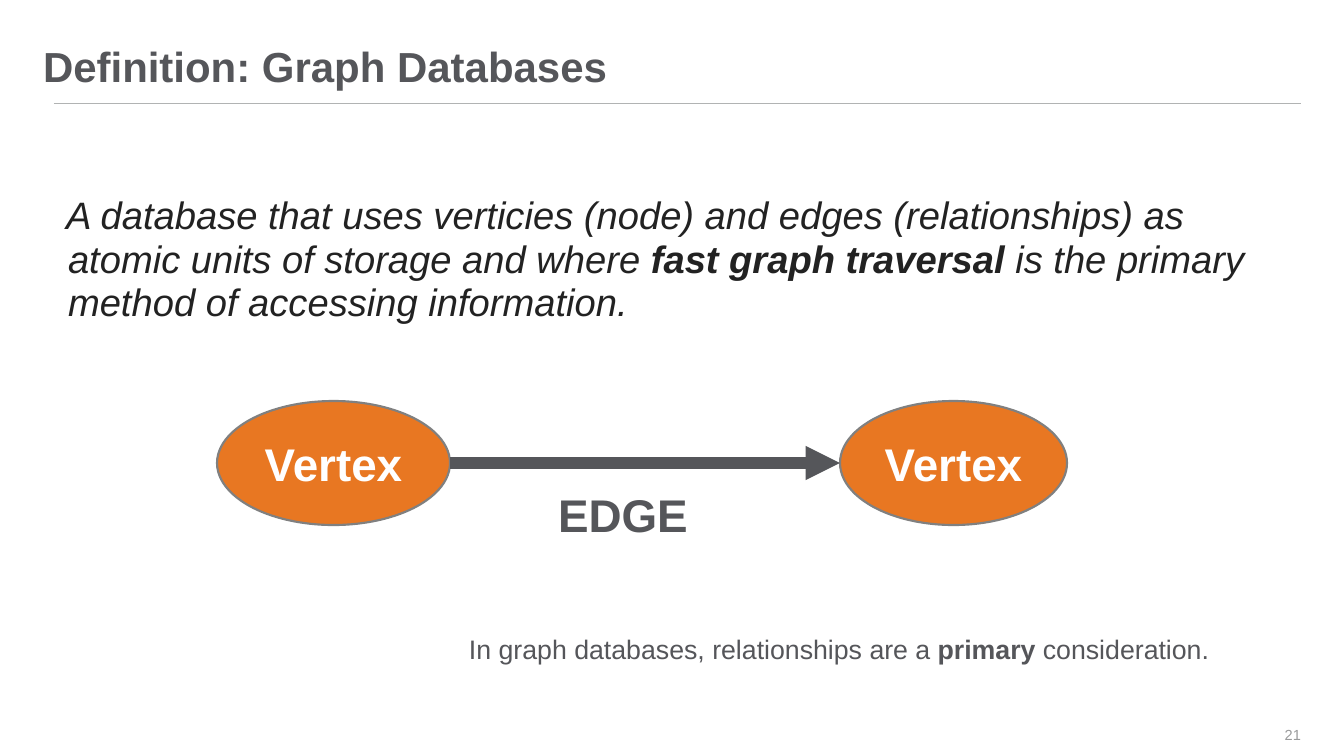
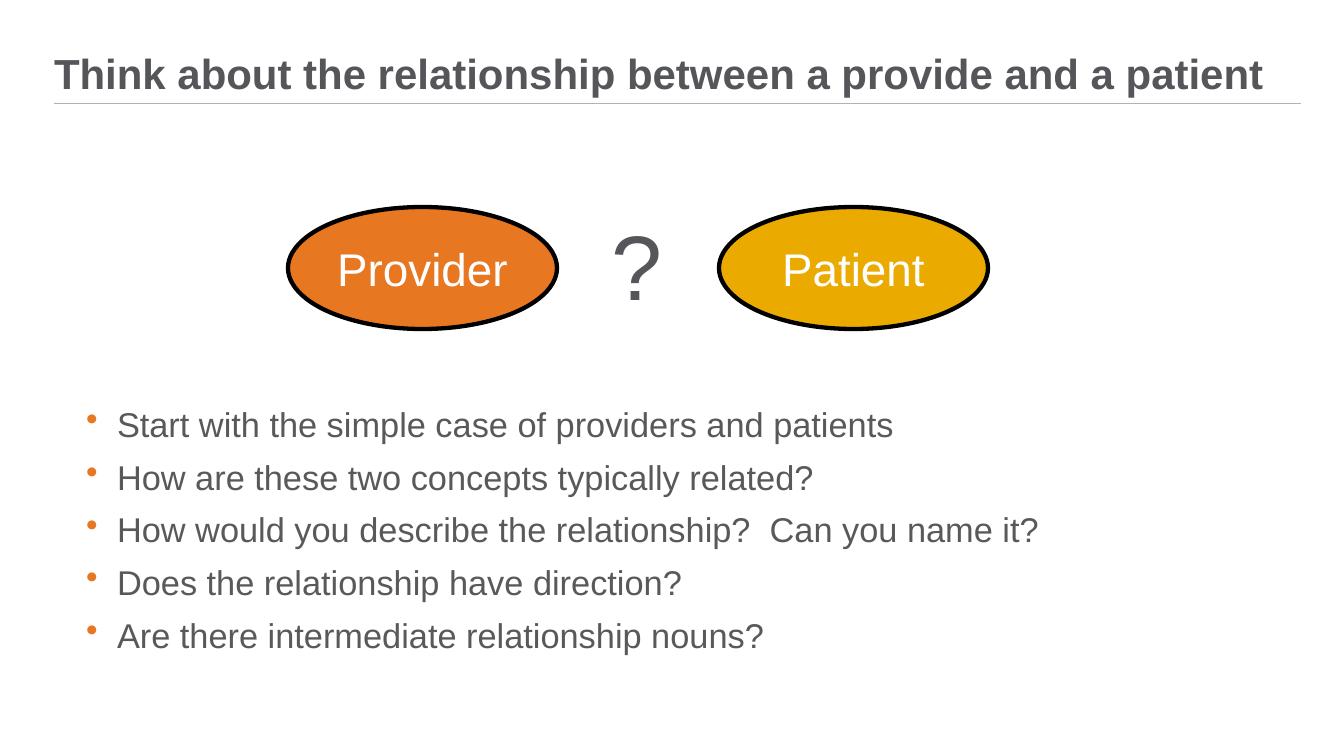
from lxml.etree import SubElement
from pptx import Presentation
from pptx.dml.color import RGBColor
from pptx.enum.shapes import MSO_CONNECTOR, MSO_SHAPE
from pptx.enum.text import MSO_ANCHOR as Anchor, MSO_AUTO_SIZE, PP_ALIGN as Align
from pptx.oxml.ns import qn
from pptx.util import Emu, Pt

# Content
DEFINITION_TITLE = "Definition: Graph Databases"
DEFINITION = [
    ("A database that uses verticies (node) and edges (relationships) as "
     "atomic units of storage and where ", False),
    ("fast graph traversal", True),
    (" is the primary method of accessing information.", False),
]
EDGE_LABEL = "EDGE"
VERTEX_LABEL = "Vertex"
TAKEAWAY = [
    ("In graph databases, relationships are a ", False),
    ("primary", True),
    (" consideration.", False),
]
PAGE_NUMBER = "21"

QUESTION_TITLE = "Think about the relationship between a provide and a patient"
QUESTION_MARK = "?"
QUESTIONS = [
    "Start with the simple case of providers and patients",
    "How are these two concepts typically related?",
    "How would you describe the relationship?  Can you name it?",
    "Does the relationship have direction?",
    "Are there intermediate relationship nouns?",
]

# Shared style
FONT = "Arial"
SLATE, ORANGE, GOLD, WHITE = "55565A", "E87722", "EAAA00", "FFFFFF"
BLACK, GRAY, RULE_GRAY = "000000", "808080", "B1B3B3"
BODY_INK, QUESTION_INK, PAGE_INK = "222222", "595959", "999A9B"
SLIDE_W, SLIDE_H = 1344, 756
LEFT, CONTENT_W, RULE_Y = 54, 1247, 103
TITLE_H = 56
PADDING = (7, 3, 7, 3)


def px(length):
    return Emu(round(length * 914400 / 68.7))


def color(hex_code):
    return RGBColor.from_string(hex_code)


def write(shape, paragraphs, *, size, ink=SLATE, bold=False, italic=False,
          align=Align.LEFT, anchor=Anchor.TOP, insets=PADDING, wrap=True,
          spacing=None, before=0, after=0, hang=0, margin=0, bullet=None):
    """Fill a shape; a paragraph is a string or a list of (text, bold) runs."""
    frame = shape.text_frame
    frame.auto_size = MSO_AUTO_SIZE.NONE
    frame.word_wrap = wrap
    frame.vertical_anchor = anchor
    (frame.margin_left, frame.margin_top,
     frame.margin_right, frame.margin_bottom) = map(px, insets)
    for number, content in enumerate(paragraphs):
        paragraph = frame.add_paragraph() if number else frame.paragraphs[0]
        if margin:
            properties = paragraph._p.get_or_add_pPr()
            properties.set("marL", str(px(margin)))
            properties.set("indent", str(px(-hang)))
            if bullet:
                bullet_color = SubElement(properties, qn("a:buClr"))
                SubElement(bullet_color, qn("a:srgbClr"), val=bullet)
                SubElement(properties, qn("a:buChar"), char="•")
        paragraph.alignment = align
        if spacing:
            paragraph.line_spacing = spacing
        paragraph.space_before = Pt(before if number else 0)
        paragraph.space_after = Pt(after)
        runs = [(content, bold)] if isinstance(content, str) else content
        for text, is_bold in runs:
            run = paragraph.add_run()
            run.text = text
            run.font.name = FONT
            run.font.size = Pt(size)
            run.font.bold = is_bold
            run.font.italic = italic
            run.font.color.rgb = color(ink)


def add_text(slide, box, paragraphs, **style):
    write(slide.shapes.add_textbox(*map(px, box)), paragraphs, **style)


def add_line(slide, start, end, ink, width, arrow=False):
    line = slide.shapes.add_connector(
        MSO_CONNECTOR.STRAIGHT, *map(px, (*start, *end)))
    line.line.color.rgb = color(ink)
    line.line.width = Pt(width)
    if arrow:
        SubElement(line.line._get_or_add_ln(), qn("a:tailEnd"), type="triangle")
    SubElement(line._element.spPr, qn("a:effectLst"))


def add_node(slide, box, label, fill, outline, width, bold=False):
    node = slide.shapes.add_shape(MSO_SHAPE.OVAL, *map(px, box))
    node.shadow.inherit = False
    node.fill.solid()
    node.fill.fore_color.rgb = color(fill)
    node.line.color.rgb = color(outline)
    node.line.width = Pt(width)
    write(node, [label], size=48, ink=WHITE, bold=bold,
          align=Align.CENTER, anchor=Anchor.MIDDLE)


def add_titled_slide(deck, text, left, top, anchor, inset):
    """Title-only slide with the shared title style and rule."""
    slide = deck.slides.add_slide(deck.slide_layouts[5])
    add_line(slide, (LEFT, RULE_Y), (LEFT + CONTENT_W, RULE_Y), RULE_GRAY, 1)
    title = slide.shapes.title
    title.left, title.top, title.width, title.height = map(
        px, (left, top, CONTENT_W, TITLE_H))
    write(title, [text], size=44, bold=True, anchor=anchor,
          insets=(inset,) * 4, spacing=0.9)
    return slide


def build_definition(deck):
    slide = add_titled_slide(deck, DEFINITION_TITLE, 31, 34, Anchor.TOP, 12)
    add_text(slide, (LEFT, 183, CONTENT_W, 188), [DEFINITION], size=40,
             ink=BODY_INK, italic=True, insets=(12,) * 4, spacing=0.95,
             margin=2, hang=2)
    add_text(slide, (1241, 714, 60, 41), [PAGE_NUMBER], size=15.3, ink=PAGE_INK,
             align=Align.RIGHT, anchor=Anchor.MIDDLE, insets=(0,) * 4)

    # Two vertices joined by an edge
    top, height = 401, 124
    source_x, source_w = 217, 233
    target_x, target_w = 840, 227
    for x, width in ((source_x, source_w), (target_x, target_w)):
        add_node(slide, (x, top, width, height), VERTEX_LABEL,
                 ORANGE, GRAY, 2.25, bold=True)
    middle = top + height / 2
    add_line(slide, (source_x + source_w, middle), (target_x, middle),
             SLATE, 12, arrow=True)
    add_text(slide, (551, 484, 145, 63), [EDGE_LABEL], size=48, bold=True,
             wrap=False)
    add_text(slide, (462, 630, 763, 39), [TAKEAWAY], size=28, wrap=False)


def build_question(deck):
    slide = add_titled_slide(deck, QUESTION_TITLE, LEFT, 43, Anchor.BOTTOM, 0)
    add_text(slide, (72, 396, CONTENT_W, 265), QUESTIONS, size=36,
             ink=QUESTION_INK, insets=(14, 7, 14, 7), before=2, after=10,
             margin=31, hang=31, bullet=ORANGE)

    # Provider and patient with an open question between them
    for x, label, fill in ((288, "Provider", ORANGE), (719, "Patient", GOLD)):
        add_node(slide, (x, 207, 269, 122), label, fill, BLACK, 4.5)
    add_text(slide, (605, 206, 65, 118), [QUESTION_MARK], size=96, wrap=False)


def main():
    deck = Presentation()
    deck.slide_width, deck.slide_height = px(SLIDE_W), px(SLIDE_H)
    build_definition(deck)
    build_question(deck)
    deck.save("out.pptx")


if __name__ == "__main__":
    main()
